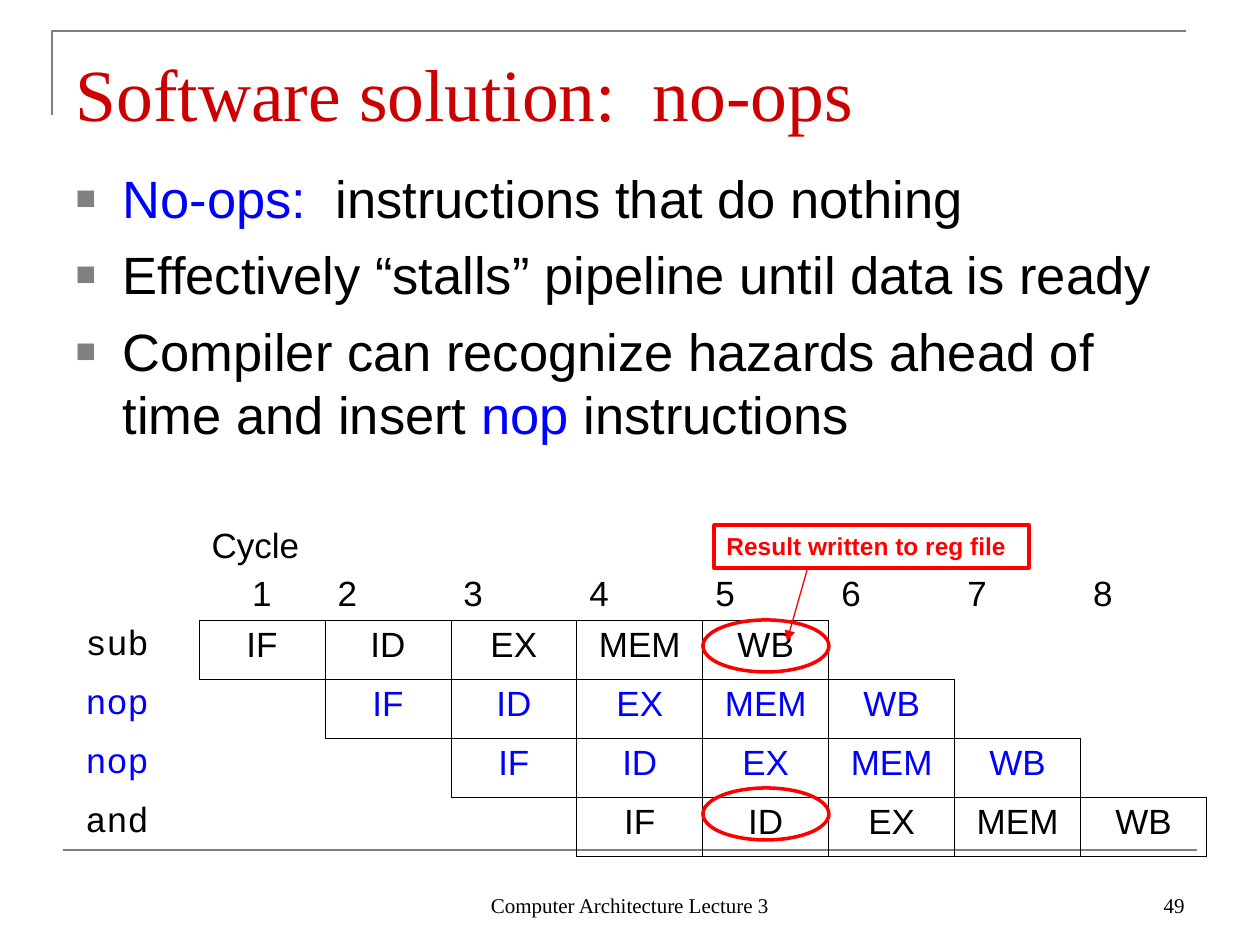
from lxml.etree import SubElement
from pptx import Presentation
from pptx.dml.color import RGBColor
from pptx.enum.shapes import MSO_CONNECTOR, MSO_SHAPE
from pptx.enum.text import MSO_ANCHOR, PP_ALIGN
from pptx.oxml import parse_xml
from pptx.oxml.ns import nsdecls, qn
from pptx.util import Pt

BLACK = RGBColor(0x00, 0x00, 0x00)
BLUE = RGBColor(0x00, 0x00, 0xFF)
RED = RGBColor(0xFF, 0x00, 0x00)
TITLE_RED = RGBColor(0xCC, 0x00, 0x00)
GRAY = RGBColor(0x80, 0x80, 0x80)
SERIF, SANS, MONO = "Times New Roman", "Arial", "Courier New"
PX = 914400 // 126
NO_STYLE = "{2D5ABB26-0587-4C30-8999-92F81FD0307C}"

# Content
TITLE = "Software solution:  no-ops"
BULLETS = [
    [("No-ops:", BLUE), ("  instructions that do nothing", BLACK)],
    [("Effectively “stalls” pipeline until data is ready", BLACK)],
    [("Compiler can recognize hazards ahead of time and insert ", BLACK),
     ("nop", BLUE), (" instructions", BLACK)],
]
INSTRUCTIONS = [("sub", BLACK), ("nop", BLUE), ("nop", BLUE), ("and", BLACK)]
STAGES = ["IF", "ID", "EX", "MEM", "WB"]
CYCLES = len(INSTRUCTIONS) + len(STAGES) - 1
CALLOUT = "Result written to reg file"
FOOTERS = [  # text, left, width, alignment
    ("Computer Architecture Lecture 3", 430, 400, PP_ALIGN.CENTER),
    ("49", 903, 294, PP_ALIGN.RIGHT),
]

# Layout in px
TABLE_LEFT, TABLE_TOP, COLUMN_WIDTH = 73, 514, 126
HEADER_HEIGHT, ROW_HEIGHT = 106, 59
CIRCLE_TOPS = [620, 788]


def place(left, top, width, height):
    return [value * PX for value in (left, top, width, height)]


def add_text(paragraph, text, *, size=20, font=SANS, color=BLACK, bold=False,
             align=PP_ALIGN.LEFT, before=0):
    paragraph.alignment = align
    paragraph.space_before = Pt(before)
    run = paragraph.add_run()
    run.text = text
    run.font.size = Pt(size)
    run.font.name = font
    run.font.bold = bold
    run.font.color.rgb = color


def outline(shape, color, width):
    shape.shadow.inherit = False
    shape.fill.background()
    shape.line.color.rgb = color
    shape.line.width = Pt(width)


def add_line(slide, start, end, color, width, arrow=False):
    points = [value * PX for value in (*start, *end)]
    connector = slide.shapes.add_connector(MSO_CONNECTOR.STRAIGHT, *points)
    connector.line.color.rgb = color
    connector.line.width = Pt(width)
    if arrow:
        SubElement(connector.line._get_or_add_ln(), qn("a:tailEnd"), type="triangle")
    SubElement(connector._element.spPr, qn("a:effectLst"))


def add_bullet(paragraph):
    properties = paragraph._p.get_or_add_pPr()
    properties.set("marL", str(47 * PX))
    properties.set("indent", str(-47 * PX))
    color = SubElement(properties, qn("a:buClr"))
    SubElement(color, qn("a:srgbClr"), val=str(GRAY))
    SubElement(properties, qn("a:buSzPct"), val="65000")
    SubElement(properties, qn("a:buFont"), typeface=SANS)
    SubElement(properties, qn("a:buChar"), char="■")


def is_stage(row, column):
    return 1 <= row <= len(INSTRUCTIONS) and 0 <= column - row < len(STAGES)


def set_borders(cell, row, column):
    neighbors = {"lnL": (row, column - 1), "lnR": (row, column + 1),
                 "lnT": (row - 1, column), "lnB": (row + 1, column)}
    properties = cell._tc.get_or_add_tcPr()
    for index, (edge, neighbor) in enumerate(neighbors.items()):
        visible = is_stage(row, column) or is_stage(*neighbor)
        fill = (f'<a:solidFill><a:srgbClr val="{BLACK}"/></a:solidFill>'
                if visible else "<a:noFill/>")
        properties.insert(index, parse_xml(
            f'<a:{edge} {nsdecls("a")} w="{Pt(0.45)}">{fill}</a:{edge}>'))


def add_frame(slide):
    corner = slide.shapes.build_freeform(52, 115, scale=PX)
    corner.add_line_segments([(52, 31), (1186, 31)], close=False)
    outline(corner.convert_to_shape(), GRAY, 1.5)
    add_line(slide, (63, 850), (1197, 850), GRAY, 1.5)
    for text, left, width, align in FOOTERS:
        box = slide.shapes.add_textbox(*place(left, 861, width, 63))
        box.text_frame.word_wrap = True
        box.text_frame.vertical_anchor = MSO_ANCHOR.BOTTOM
        add_text(box.text_frame.paragraphs[0], text, size=12, font=SERIF, align=align)


def add_title_and_bullets(slide):
    title, body = slide.placeholders
    title.left, title.top, title.width, title.height = place(63, 38, 1134, 98)
    title.text_frame.vertical_anchor = MSO_ANCHOR.BOTTOM
    title.text_frame.margin_bottom = 0
    add_text(title.text_frame.paragraphs[0], TITLE, size=42, font=SERIF, color=TITLE_RED)

    body.left, body.top, body.width, body.height = place(63, 160, 1134, 304)
    for index, runs in enumerate(BULLETS):
        frame = body.text_frame
        paragraph = frame.add_paragraph() if index else frame.paragraphs[0]
        add_bullet(paragraph)
        paragraph.line_spacing = Pt(36)
        for text, color in runs:
            add_text(paragraph, text, size=30, color=color, before=7.5 if index else 0)


def add_pipeline(slide):
    rows, columns = len(INSTRUCTIONS) + 1, CYCLES + 1
    frame = slide.shapes.add_table(rows, columns, *place(
        TABLE_LEFT, TABLE_TOP, columns * COLUMN_WIDTH,
        HEADER_HEIGHT + (rows - 1) * ROW_HEIGHT))
    table = frame.table
    table.first_row = table.horz_banding = False
    table._tbl.tblPr.find(qn("a:tableStyleId")).text = NO_STYLE
    for column in table.columns:
        column.width = COLUMN_WIDTH * PX
    for index, row in enumerate(table.rows):
        row.height = (ROW_HEIGHT if index else HEADER_HEIGHT) * PX

    for row in range(rows):
        for column in range(columns):
            cell = table.cell(row, column)
            cell.margin_left = cell.margin_right = Pt(7.2)
            cell.margin_top = cell.margin_bottom = Pt(3.6)
            cell.fill.background()
            set_borders(cell, row, column)
            paragraph = cell.text_frame.paragraphs[0]
            if row == 0 and column > 0:
                cell.vertical_anchor = MSO_ANCHOR.BOTTOM
                if column == 1:
                    add_text(paragraph, "Cycle")
                    add_text(cell.text_frame.add_paragraph(), "1",
                             align=PP_ALIGN.CENTER, before=5)
                else:
                    add_text(paragraph, str(column))
            elif row and column == 0:
                name, color = INSTRUCTIONS[row - 1]
                add_text(paragraph, name, font=MONO, color=color)
            elif is_stage(row, column):
                add_text(paragraph, STAGES[column - row],
                         color=INSTRUCTIONS[row - 1][1], align=PP_ALIGN.CENTER)


def add_highlights(slide):
    for top in CIRCLE_TOPS:
        circle = slide.shapes.add_shape(MSO_SHAPE.OVAL, *place(703, top, 126, 52))
        outline(circle, RED, 2)
    callout = slide.shapes.add_shape(MSO_SHAPE.RECTANGLE, *place(714, 525, 315, 43))
    outline(callout, RED, 2)
    callout.text_frame.word_wrap = True
    callout.text_frame.vertical_anchor = MSO_ANCHOR.TOP
    add_text(callout.text_frame.paragraphs[0], CALLOUT, size=14, color=RED, bold=True)
    add_line(slide, (808, 567), (787, 641), RED, 0.75, arrow=True)


def main():
    presentation = Presentation()
    presentation.slide_width, presentation.slide_height = 1260 * PX, 945 * PX
    slide = presentation.slides.add_slide(presentation.slide_layouts[1])
    add_frame(slide)
    add_title_and_bullets(slide)
    add_pipeline(slide)
    add_highlights(slide)
    presentation.save("out.pptx")


if __name__ == "__main__":
    main()
